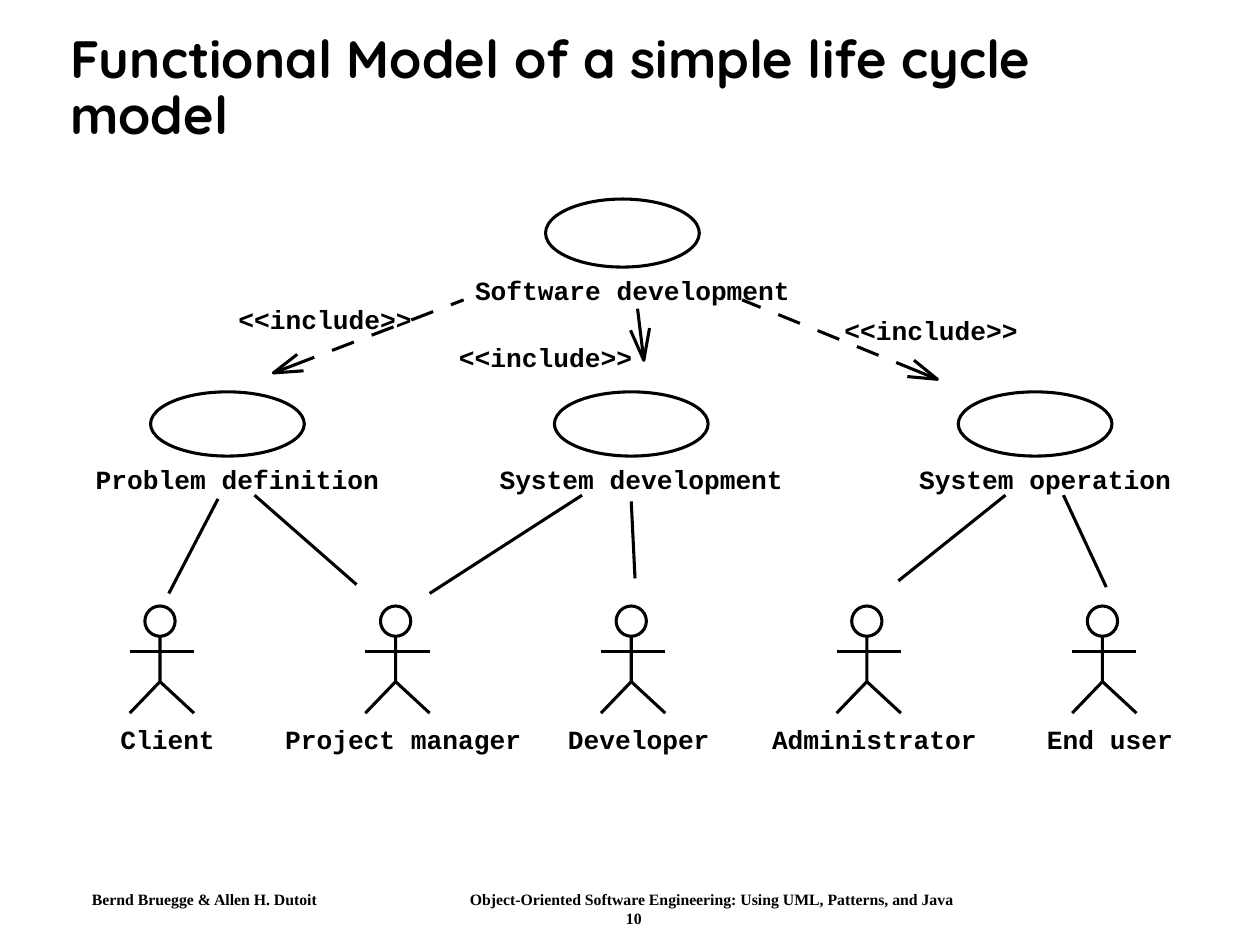
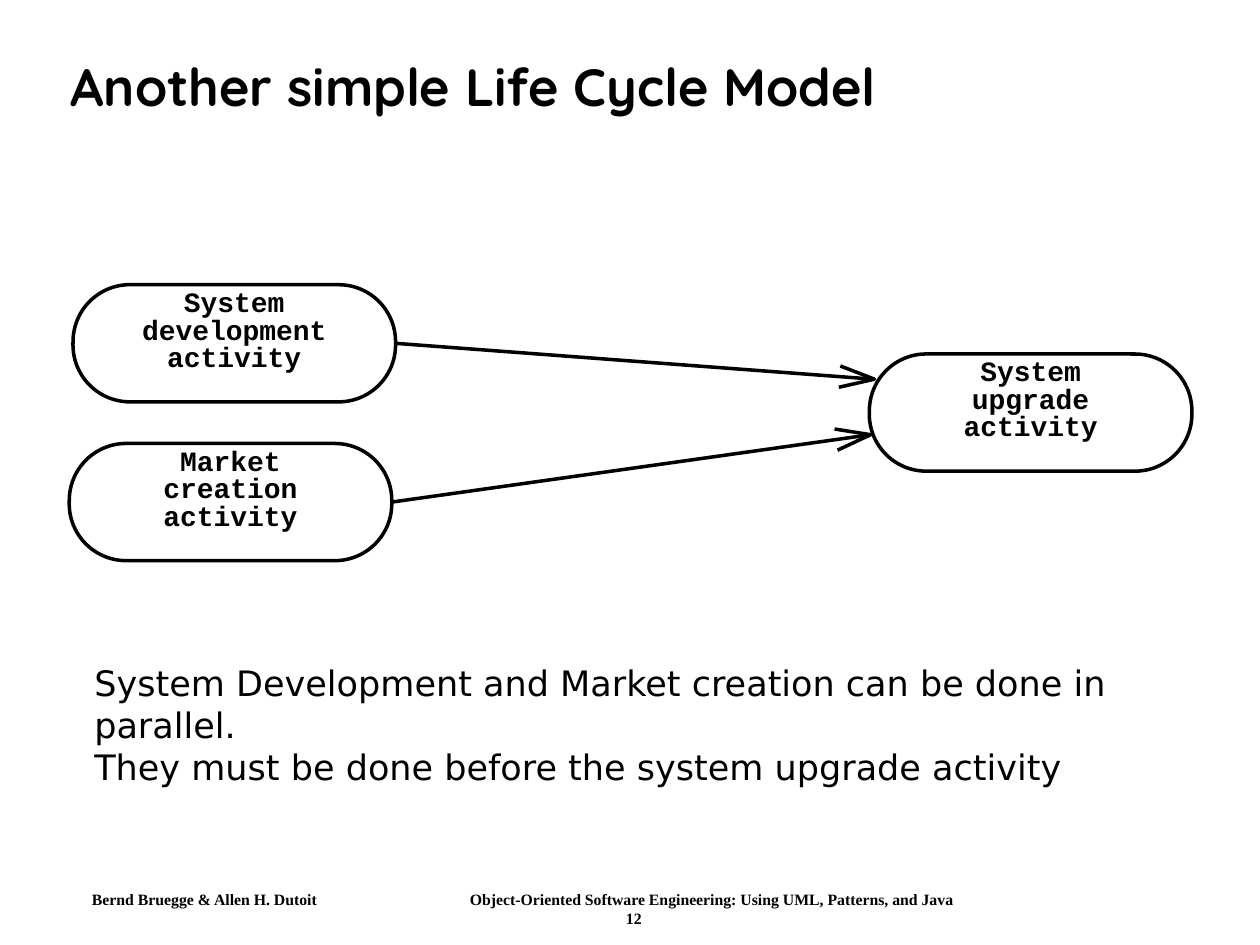
import math

from lxml import etree
from pptx import Presentation
from pptx.dml.color import RGBColor
from pptx.enum.shapes import MSO_CONNECTOR, MSO_SHAPE
from pptx.enum.text import MSO_ANCHOR, PP_ALIGN
from pptx.oxml.ns import qn
from pptx.util import Inches, Pt

STRAIGHT = MSO_CONNECTOR.STRAIGHT
OVAL = MSO_SHAPE.OVAL
ROUNDED = MSO_SHAPE.ROUNDED_RECTANGLE
TOP, MIDDLE = MSO_ANCHOR.TOP, MSO_ANCHOR.MIDDLE
LEFT, CENTER = PP_ALIGN.LEFT, PP_ALIGN.CENTER

COLORS = {"ink": "000000", "paper": "FFFFFF"}
TITLE_FONT, LABEL_FONT = "Quicksand", "Courier New"
BODY_FONT, FOOTER_FONT = "DejaVu Sans", "Times New Roman"
WIDTH, HEIGHT = Inches(10), Inches(7.5)
COLUMNS = 100
CELL = WIDTH // COLUMNS
CHARACTER = 1.25
THIN, THICK = 1.75, 2
HEAD_ANGLE = math.radians(17)

ACTORS = ["Client", "Project manager", "Developer", "Administrator", "End user"]
USE_CASES = ["Problem definition", "System development", "System operation"]
ASSOCIATIONS = [
    ((13.4, 47.1), (17.3, 39.6)),
    ((28.3, 46.4), (20.2, 39.3)),
    ((34.1, 47.1), (46.2, 39.3)),
    ((50.4, 45.9), (50.1, 39.8)),
    ((71.3, 46.1), (79.8, 39.3)),
    ((87.8, 46.6), (84.4, 39.3)),
]


def cells(*values):
    return [round(value * CELL) for value in values]


def color(name):
    return RGBColor.from_string(COLORS[name])


def outline(shape, weight):
    shape.line.color.rgb = color("ink")
    shape.line.width = Pt(weight)


def write(frame, text, font, size, bold=True, align=LEFT, spacing=None):
    frame.text = text
    for paragraph in frame.paragraphs:
        paragraph.alignment = align
        paragraph.line_spacing = spacing
        for span in paragraph.runs:
            span.font.name = font
            span.font.size = Pt(size)
            span.font.bold = bold
            span.font.color.rgb = color("ink")


def set_insets(frame, left, top, right, bottom):
    frame.margin_left, frame.margin_top, frame.margin_right, frame.margin_bottom = cells(
        left, top, right, bottom)


def add_text(page, area, insets, text, font, size, anchor=TOP, **style):
    frame = page.shapes.add_textbox(*cells(*area)).text_frame
    frame.word_wrap = True
    frame.vertical_anchor = anchor
    set_insets(frame, *insets)
    write(frame, text, font, size, **style)
    return frame


def add_title(page, text):
    add_text(page, (4.6, 2.4, 89.2, 9.4), (1, 0.5, 1, 0.5), text,
             TITLE_FONT, 30, anchor=MIDDLE, spacing=0.9)


def add_footer(page, number):
    text = ("Bernd Bruegge & Allen H. Dutoit\t"
            "Object-Oriented Software Engineering: Using UML, Patterns, and Java\n"
            f"{number}")
    frame = add_text(page, (6.2, 70.2, 88.2, 3.6), (1.1, 0.4, 1.1, 0.4),
                     text, FOOTER_FONT, 9)
    credit, page_number = frame.paragraphs
    page_number.alignment = CENTER
    tabs = etree.SubElement(credit._p.get_or_add_pPr(), qn("a:tabLst"))
    etree.SubElement(tabs, qn("a:tab"), pos=str(cells(30)[0]), algn="l")


def add_label(page, center, top, text):
    width = len(text) * CHARACTER
    frame = add_text(page, (center - width / 2, top, width, 2.5), (0, 0, 0, 0),
                     text, LABEL_FONT, 15, align=CENTER)
    frame.word_wrap = False


def add_line(page, start, end, weight=THIN):
    line = page.shapes.add_connector(STRAIGHT, *cells(*start, *end))
    outline(line, weight)
    etree.SubElement(line.element.spPr, qn("a:effectLst"))
    return line


def add_outline(page, points, weight=THIN):
    first, *rest = [cells(*point) for point in points]
    builder = page.shapes.build_freeform(*first)
    builder.add_line_segments(rest, close=False)
    shape = builder.convert_to_shape()
    shape.shadow.inherit = False
    shape.fill.background()
    outline(shape, weight)


def add_oval(page, area, filled=False):
    oval = page.shapes.add_shape(OVAL, *cells(*area))
    oval.shadow.inherit = False
    if filled:
        oval.fill.solid()
        oval.fill.fore_color.rgb = color("paper")
    else:
        oval.fill.background()
    outline(oval, THIN)


def add_arrow_head(page, tail, tip, length, weight=THIN):
    back = math.atan2(tail[1] - tip[1], tail[0] - tip[0])
    barbs = [(tip[0] + length * math.cos(back + turn),
              tip[1] + length * math.sin(back + turn))
             for turn in (-HEAD_ANGLE, HEAD_ANGLE)]
    add_outline(page, [barbs[0], tip, barbs[1]], weight)


def set_dashes(line, dash, gap):
    dashes = etree.SubElement(line.element.spPr.find(qn("a:ln")), qn("a:custDash"))
    etree.SubElement(dashes, qn("a:ds"), d=str(dash * 1000), sp=str(gap * 1000))


def add_dashed_arrow(page, tail, tip):
    stem = [end + (start - end) * 0.1 for start, end in zip(tail, tip)]
    add_line(page, tip, stem)
    set_dashes(add_line(page, stem, tail), 760, 620)
    add_arrow_head(page, tail, tip, 2.4)


def add_actor(page, center, name):
    left, right = center - 2.4, center + 2.7
    add_outline(page, [(center, 50.5), (center, 54.1), (left, 56.6)])
    add_line(page, (center, 54.1), (right, 56.6))
    add_line(page, (left, 51.7), (right, 51.7))
    add_oval(page, (center - 1.2, 48.1, 2.4, 2.4), filled=True)
    add_label(page, center + 0.6, 57.4, name)


def add_use_case(page, center, top, height, name):
    add_oval(page, (center - 6.1, top, 12.2, height))
    add_label(page, center + 0.8, top + height + 0.55, name)


def add_activity(page, left, top, text):
    pill = page.shapes.add_shape(ROUNDED, *cells(left, top, 25.6, 9.3))
    pill.adjustments[0] = 0.486
    pill.shadow.inherit = False
    pill.fill.background()
    outline(pill, THICK)
    frame = pill.text_frame
    frame.vertical_anchor = MIDDLE
    set_insets(frame, 0, 0, 0, 1.8)
    write(frame, text, LABEL_FONT, 16, align=CENTER, spacing=Pt(15.75))
    return pill


def add_flow(page, activity, tip):
    tail = ((activity.left + activity.width) / CELL,
            (activity.top + activity.height / 2) / CELL)
    shaft = add_line(page, tail, tip, THICK)
    shaft.begin_connect(activity, 3)
    add_arrow_head(page, tail, tip, 2.9, THICK)


def add_page(deck, title, number):
    page = deck.slides.add_slide(deck.slide_layouts[6])
    add_footer(page, number)
    add_title(page, title)
    return page


def build_functional_model(deck):
    page = add_page(deck, "Functional Model of a simple life cycle model", 10)
    for index, name in enumerate(ACTORS):
        add_actor(page, 12.7 + 18.7 * index, name)
    for start, end in ASSOCIATIONS:
        add_line(page, start, end)
    add_use_case(page, 49.4, 15.8, 5.4, "Software development")
    for index, name in enumerate(USE_CASES):
        add_use_case(page, 18.05 + 32.05 * index, 31.1, 5.1, name)
    add_dashed_arrow(page, (36.8, 23.8), (21.7, 29.6))
    add_dashed_arrow(page, (58.9, 23.8), (74.4, 30.1))
    add_line(page, (50.6, 24.5), (51.1, 28.6))
    add_arrow_head(page, (50.6, 24.5), (51.1, 28.6), 2.6)
    for center, top in ((25.8, 24.1), (43.3, 27.1), (73.9, 24.9)):
        add_label(page, center, top, "<<include>>")


def build_parallel_model(deck):
    page = add_page(deck, "Another simple Life Cycle Model", 12)
    add_text(page, (6.5, 52, 88.1, 11), (1, 0.5, 1, 0.5),
             "System Development and Market creation can be done in parallel.\n"
             "They must be done before the system upgrade activity",
             BODY_FONT, 20, bold=False)
    add_activity(page, 69, 28.1, "System\nupgrade\nactivity")
    development = add_activity(page, 5.8, 22.6, "System\ndevelopment\nactivity")
    market = add_activity(page, 5.5, 35.2, "Market\ncreation\nactivity")
    add_flow(page, development, (69.4, 30.1))
    add_flow(page, market, (69.1, 34.5))


def main():
    deck = Presentation()
    deck.slide_width, deck.slide_height = WIDTH, HEIGHT
    build_functional_model(deck)
    build_parallel_model(deck)
    deck.save("out.pptx")


if __name__ == "__main__":
    main()
